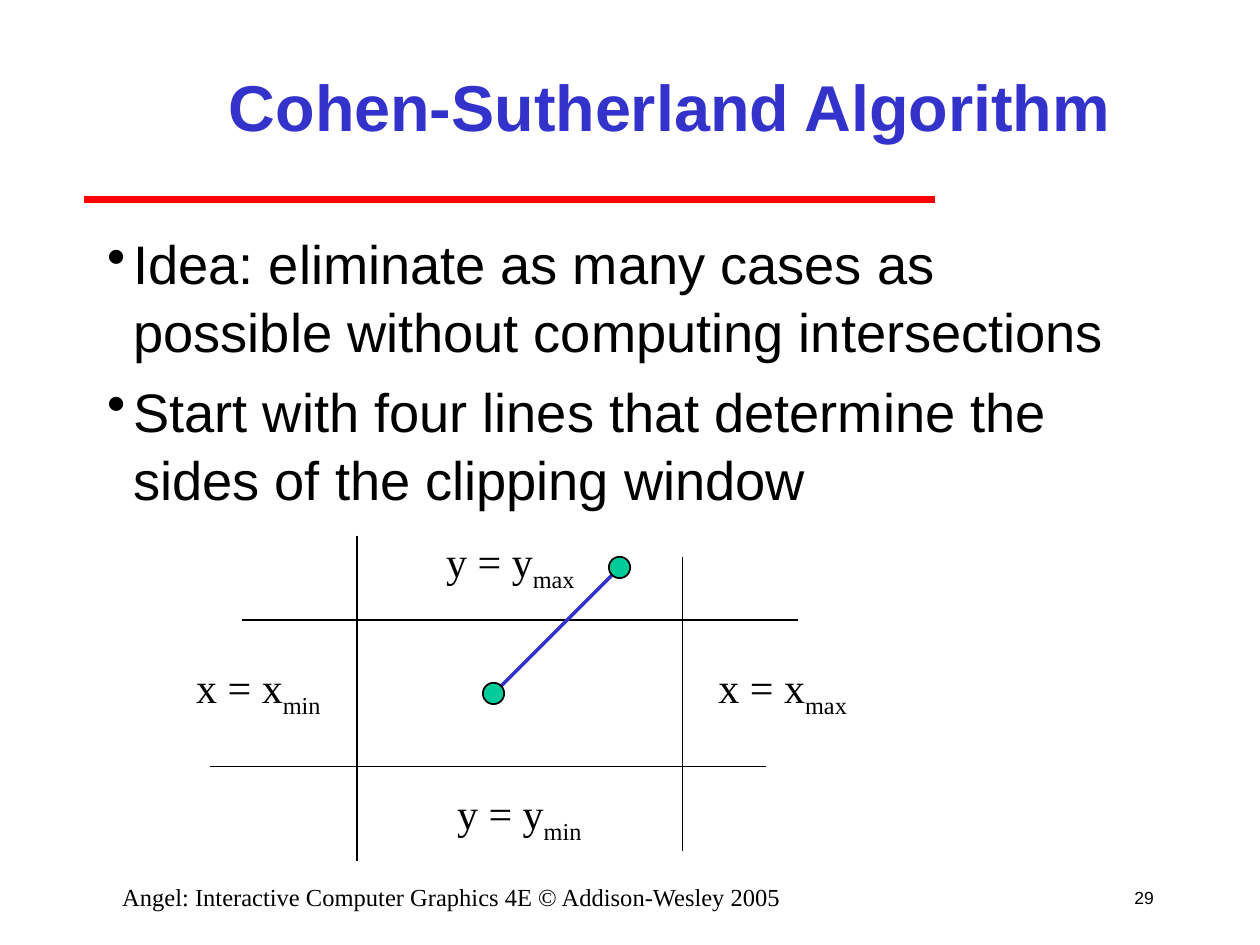
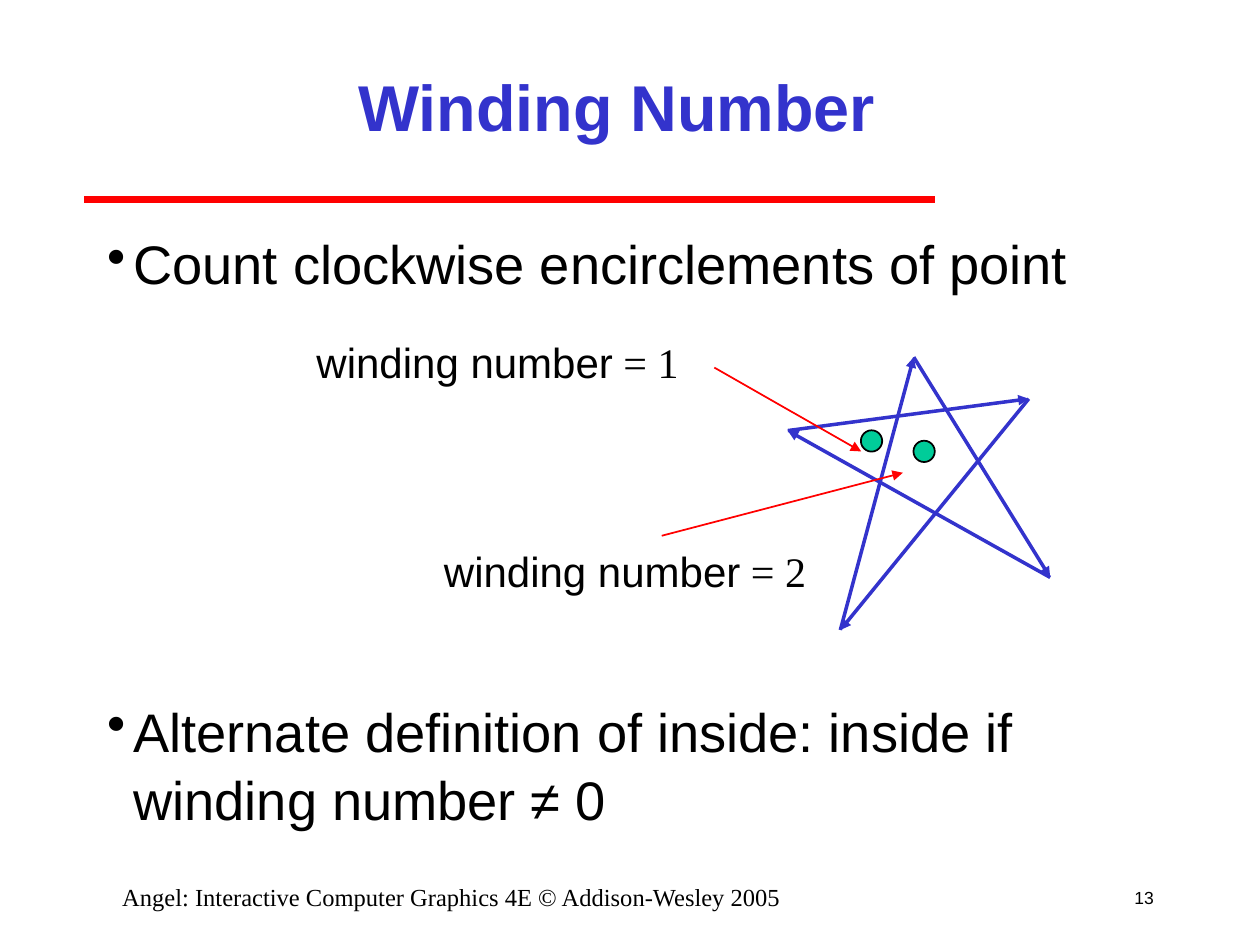
import dataclasses
import itertools

import pptx
import pptx.dml.color
import pptx.enum.shapes
import pptx.enum.text
import pptx.oxml.ns
import pptx.shapes.connector
import pptx.slide
import pptx.text.text
import pptx.util
from lxml import etree
from pptx.util import Cm

BLACK, BLUE, RED, GREEN = "000000", "3333CC", "FF0000", "00CC99"
SANS, SERIF = "Arial", "Times New Roman"
FOOTER = "Angel: Interactive Computer Graphics 4E © Addison-Wesley 2005"
DOT_DIAMETER = 0.43

ALIGN = pptx.enum.text.PP_ALIGN
ANCHOR = pptx.enum.text.MSO_ANCHOR

Point = tuple[float, float]


@dataclasses.dataclass(frozen=True)
class Box:
    """A rectangle in centimetres."""
    left: float
    top: float
    width: float
    height: float


@dataclasses.dataclass(frozen=True)
class Span:
    text: str
    font: str = SERIF
    subscript: bool = False


@dataclasses.dataclass(frozen=True)
class Label:
    box: Box
    spans: tuple[Span, Span]


@dataclasses.dataclass(frozen=True)
class Line:
    start: Point
    end: Point
    color: str = BLACK
    width: float = 1
    arrow: bool = False


@dataclasses.dataclass(frozen=True)
class Bullet:
    text: str
    space_before: float = 0


def rgb(value: str) -> pptx.dml.color.RGBColor:
    return pptx.dml.color.RGBColor.from_string(value)


def add_element(parent: etree._Element, tag: str, **attributes: str) -> etree._Element:
    element = etree.SubElement(parent, pptx.oxml.ns.qn(tag))
    for name, value in attributes.items():
        element.set(name, value)
    return element


def add_spans(paragraph: pptx.text.text._Paragraph, spans: tuple[Span, ...], *,
              size: float, color: str = BLACK, bold: bool = False) -> None:
    for span in spans:
        run = paragraph.add_run()
        run.text = span.text
        run.font.name = span.font
        run.font.size = pptx.util.Pt(size)
        run.font.bold = bold
        run.font.color.rgb = rgb(color)
        if span.subscript:
            run.font._element.set("baseline", "-25000")


def add_text(slide: pptx.slide.Slide, box: Box, *spans: Span, size: float,
             color: str = BLACK, bold: bool = False, align: ALIGN = ALIGN.CENTER,
             anchor: ANCHOR = ANCHOR.TOP, wrap: bool = True,
             insets: tuple[float, float, float, float] = (0, 0, 0, 0)
             ) -> pptx.text.text.TextFrame:
    """Add a text box; insets run left, top, right, bottom in centimetres."""
    shape = slide.shapes.add_textbox(
        Cm(box.left), Cm(box.top), Cm(box.width), Cm(box.height))
    frame = shape.text_frame
    frame.word_wrap = wrap
    frame.vertical_anchor = anchor
    (frame.margin_left, frame.margin_top,
     frame.margin_right, frame.margin_bottom) = map(Cm, insets)
    paragraph = frame.paragraphs[0]
    paragraph.alignment = align
    add_spans(paragraph, spans, size=size, color=color, bold=bold)
    return frame


def add_line(slide: pptx.slide.Slide, line: Line) -> None:
    connector = slide.shapes.add_connector(
        pptx.enum.shapes.MSO_CONNECTOR.STRAIGHT,
        *map(Cm, line.start), *map(Cm, line.end))
    connector.line.color.rgb = rgb(line.color)
    connector.line.width = pptx.util.Pt(line.width)
    if line.arrow:
        add_element(connector.line._get_or_add_ln(), "a:tailEnd", type="triangle")
    add_element(connector._element.spPr, "a:effectLst")


def add_dot(slide: pptx.slide.Slide, center: Point) -> None:
    left, top = (Cm(value - DOT_DIAMETER / 2) for value in center)
    dot = slide.shapes.add_shape(pptx.enum.shapes.MSO_SHAPE.OVAL, left, top,
                                 Cm(DOT_DIAMETER), Cm(DOT_DIAMETER))
    dot.shadow.inherit = False
    dot.fill.solid()
    dot.fill.fore_color.rgb = rgb(GREEN)
    dot.line.color.rgb = rgb(BLACK)
    dot.line.width = pptx.util.Pt(1)


def add_bullets(slide: pptx.slide.Slide, bullets: list[Bullet]) -> None:
    frame = add_text(slide, Box(1.9, 4.45, 21.59, 13.13), size=31,
                     align=ALIGN.LEFT, insets=(0.15, 0.15, 0.38, 0.15))
    for index, bullet in enumerate(bullets):
        paragraph = frame.add_paragraph() if index else frame.paragraphs[0]
        properties = paragraph._p.get_or_add_pPr()
        properties.set("marL", str(Cm(0.64)))
        properties.set("indent", str(Cm(-0.53)))
        bullet_color = add_element(properties, "a:buClr")
        add_element(bullet_color, "a:srgbClr", val=BLACK)
        add_element(properties, "a:buChar", char="•")
        paragraph.line_spacing = 1.04
        if index:
            paragraph.space_before = pptx.util.Pt(bullet.space_before)
        add_spans(paragraph, (Span(bullet.text, SANS),), size=31)


def add_base_slide(presentation: pptx.presentation.Presentation, title: str,
                   title_width: float, number: int,
                   bullets: list[Bullet]) -> pptx.slide.Slide:
    """Add a slide with the shared rule, footer, title and bullet list."""
    slide = presentation.slides.add_slide(presentation.slide_layouts[6])
    add_line(slide, Line((1.7, 4.02), (18.85, 4.02), RED, 4))
    add_text(slide, Box(21.49, 17.88, 1.9, 0.43), Span(str(number), SANS), size=10,
             align=ALIGN.RIGHT, anchor=ANCHOR.MIDDLE, insets=(0, 0, 0.13, 0))
    add_text(slide, Box(1.27, 17.78, 15.67, 0.81), Span(FOOTER), size=14)
    add_text(slide, Box(3.81, 0, title_width, 4.24), Span(title, SANS), size=37,
             color=BLUE, bold=True, anchor=ANCHOR.MIDDLE,
             insets=(0.28, 0.15, 0.38, 0.15))
    add_bullets(slide, bullets)
    return slide


def add_figure(slide: pptx.slide.Slide, lines: list[Line], labels: list[Label],
               dots: list[Point]) -> None:
    for line in lines:
        add_line(slide, line)
    for label in labels:
        add_text(slide, label.box, *label.spans, size=24, wrap=False)
    for center in dots:
        add_dot(slide, center)


def boundary_label(left: float, top: float, axis: str, limit: str) -> Label:
    return Label(Box(left, top, 2.8, 1.17),
                 (Span(f"{axis} = {axis}"), Span(limit, subscript=True)))


def winding_label(left: float, top: float, count: int) -> Label:
    return Label(Box(left, top, 7.52, 1.02),
                 (Span("winding number", SANS), Span(f" = {count}")))


def build_cohen_sutherland(presentation: pptx.presentation.Presentation) -> None:
    slide = add_base_slide(presentation, "Cohen-Sutherland Algorithm", 19.48, 29, [
        Bullet("Idea: eliminate as many cases as possible without computing "
               "intersections"),
        Bullet("Start with four lines that determine the sides of the clipping "
               "window", space_before=7)])
    segment = [(9.95, 13.98), (12.49, 11.44)]
    window_lines = [
        Line((4.87, 12.5), (16.09, 12.5)),
        Line((13.76, 11.22), (13.76, 17.15)),
        Line((7.2, 10.8), (7.2, 17.36)),
        Line((4.23, 15.45), (15.45, 15.45))]
    labels = [
        boundary_label(14.38, 13.34, "x", "max"),
        boundary_label(3.81, 13.34, "x", "min"),
        boundary_label(8.89, 10.8, "y", "max"),
        boundary_label(9.07, 15.88, "y", "min")]
    add_figure(slide, [*window_lines, Line(*segment, BLUE, 2)], labels, segment)


def build_winding_number(presentation: pptx.presentation.Presentation) -> None:
    slide = add_base_slide(presentation, "Winding Number", 17.35, 13, [
        Bullet("Count clockwise encirclements of point"),
        Bullet("Alternate definition of inside: inside if winding number ≠ 0",
               space_before=228.5)])
    star = [(16.94, 12.7), (18.42, 7.2), (21.17, 11.64), (15.88, 8.68), (20.74, 8.04)]
    edges = [Line(start, end, BLUE, 2, arrow=True)
             for start, end in itertools.pairwise([*star, star[0]])]
    pointers = [
        Line((13.34, 10.8), (18.2, 9.53), RED, arrow=True),
        Line((14.4, 7.41), (17.36, 9.1), RED, arrow=True)]
    labels = [winding_label(8.84, 11, 2), winding_label(6.27, 6.78, 1)]
    add_figure(slide, edges + pointers, labels, [(18.63, 9.1), (17.57, 8.89)])


def main() -> None:
    presentation = pptx.Presentation()
    presentation.slide_width = Cm(25.4)
    presentation.slide_height = Cm(19.05)
    build_cohen_sutherland(presentation)
    build_winding_number(presentation)
    presentation.save("out.pptx")


if __name__ == "__main__":
    main()
